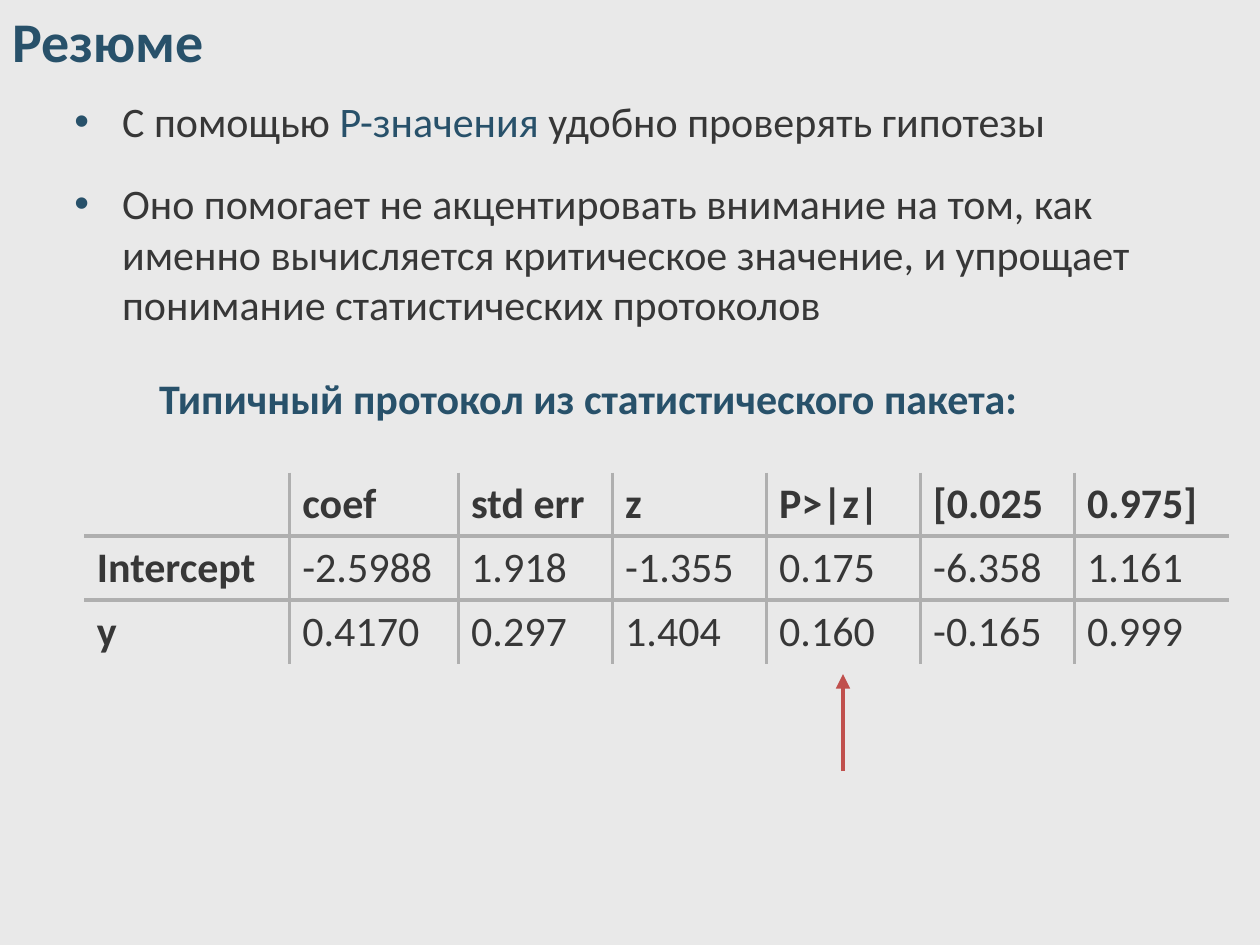
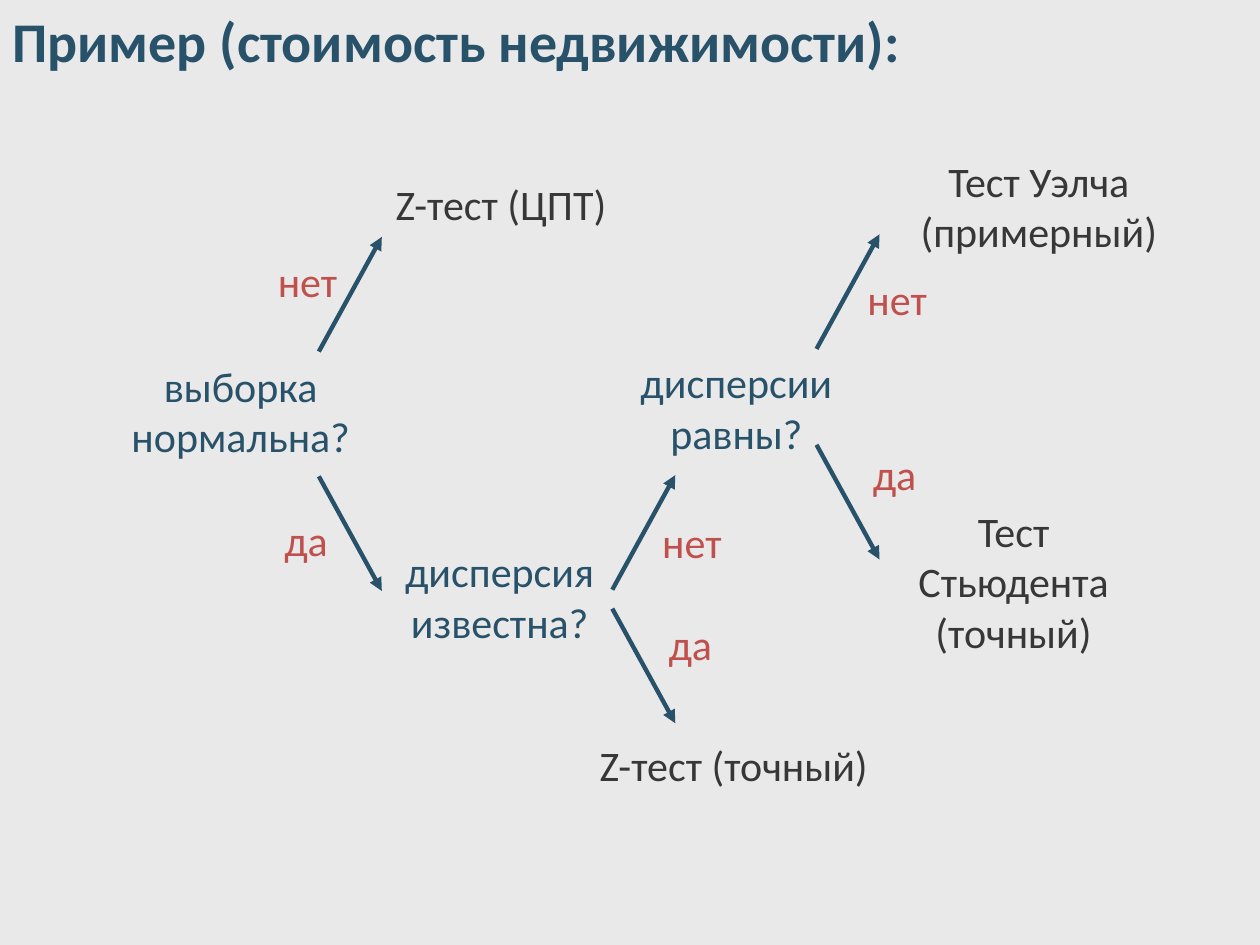
import lxml.etree
import pptx
import pptx.dml.color
import pptx.enum.shapes
import pptx.enum.text
import pptx.oxml.ns
import pptx.util

Pt = pptx.util.Pt
qn = pptx.oxml.ns.qn
CENTER = pptx.enum.text.PP_ALIGN.CENTER
LEFT = pptx.enum.text.PP_ALIGN.LEFT

FONT = "Calibri"
PAPER = "E9E9E9"
BLUE = "28516A"
INK = "373737"
RED = "C0504D"
GRID = "AFAFAF"

BODY_SIZE = 24
PARAGRAPH_GAP = 18
BULLET_INDENT = 27.3
ARROW_RUN, ARROW_RISE = 36, 65.5
ANSWER_WIDTH, ANSWER_HEIGHT = 59, 29

PROTOCOL = [
    ["", "coef", "std err", "z", "P>|z|", "[0.025", "0.975]"],
    ["Intercept", "-2.5988", "1.918", "-1.355", "0.175", "-6.358", "1.161"],
    ["y", "0.4170", "0.297", "1.404", "0.160", "-0.165", "0.999"],
]
COLUMN_WIDTHS = [117.4, 96.5] + [88] * 5
ROW_HEIGHT = 36.4

QUESTIONS = [
    ("выборка нормальна?", 66.2, 205.9, 142.6),
    ("дисперсия известна?", 226.1, 311.8, 118.8),
    ("дисперсии равны?", 361.4, 203.8, 118.8),
]
TESTS = [
    ("Z-тест (ЦПТ)", 226.1, 102.2, 181.4, 33, LEFT),
    ("Z-тест (точный)", 342.7, 422.6, 190.8, 36, LEFT),
    ("Тест Уэлча (примерный)", 518.4, 88.6, 150.5, 68, CENTER),
    ("Тест Стьюдента (точный)", 519.8, 288.7, 118.8, 101.5, CENTER),
]
BRANCHES = [
    ("нет", 182.2, 200.9, 146.2, 146.2),
    ("да", 182.2, 272.2, 145.4, 293.8),
    ("нет", 349.9, 337, 365.8, 295.2),
    ("да", 349.9, 347.8, 365, 353.5),
    ("нет", 466.6, 199.4, 483.1, 156.2),
    ("да", 466.6, 254.2, 481.7, 256.3),
]


def color(hex_code):
    return pptx.dml.color.RGBColor.from_string(hex_code)


def add_run(paragraph, text, hex_code, size=BODY_SIZE, bold=False):
    run = paragraph.add_run()
    run.text = text
    run.font.name = FONT
    run.font.size = Pt(size)
    run.font.bold = bold
    run.font.color.rgb = color(hex_code)


def add_frame(slide, left, top, width, height, inset_left=0, inset_top=0):
    box = slide.shapes.add_textbox(Pt(left), Pt(top), Pt(width), Pt(height))
    frame = box.text_frame
    frame.word_wrap = True
    frame.margin_left, frame.margin_top = Pt(inset_left), Pt(inset_top)
    frame.margin_right = frame.margin_bottom = 0
    return frame


def add_label(slide, text, left, top, width, height, hex_code, align=CENTER, bold=False):
    paragraph = add_frame(slide, left, top, width, height).paragraphs[0]
    paragraph.alignment = align
    add_run(paragraph, text, hex_code, bold=bold)


def add_bullet(paragraph, runs):
    properties = paragraph._p.get_or_add_pPr()
    properties.set("marL", str(Pt(BULLET_INDENT)))
    properties.set("indent", str(-Pt(BULLET_INDENT)))
    bullet_color = lxml.etree.SubElement(properties, qn("a:buClr"))
    lxml.etree.SubElement(bullet_color, qn("a:srgbClr"), val=BLUE)
    lxml.etree.SubElement(properties, qn("a:buFont"), typeface="Arial")
    lxml.etree.SubElement(properties, qn("a:buChar"), char="•")
    paragraph.space_after = Pt(PARAGRAPH_GAP)
    for text, hex_code in runs:
        add_run(paragraph, text, hex_code)


def add_arrow(slide, start_x, start_y, end_x, end_y, hex_code, weight):
    arrow = slide.shapes.add_connector(
        pptx.enum.shapes.MSO_CONNECTOR.STRAIGHT,
        Pt(start_x), Pt(start_y), Pt(end_x), Pt(end_y))
    arrow.line.color.rgb = color(hex_code)
    arrow.line.width = Pt(weight)
    lxml.etree.SubElement(arrow.line._get_or_add_ln(), qn("a:tailEnd"), type="triangle")
    lxml.etree.SubElement(arrow._element.spPr, qn("a:effectLst"))


def add_border(cell, side, visible):
    properties = cell._tc.get_or_add_tcPr()
    border = lxml.etree.SubElement(properties, qn("a:" + side), w=str(Pt(2.25)))
    if visible:
        fill = lxml.etree.SubElement(border, qn("a:solidFill"))
        lxml.etree.SubElement(fill, qn("a:srgbClr"), val=GRID)
    else:
        lxml.etree.SubElement(border, qn("a:noFill"))


def add_protocol(slide, left, top):
    row_count, column_count = len(PROTOCOL), len(COLUMN_WIDTHS)
    table = slide.shapes.add_table(
        row_count, column_count, Pt(left), Pt(top),
        Pt(sum(COLUMN_WIDTHS)), Pt(ROW_HEIGHT * row_count)).table
    table.first_row = table.horz_banding = False
    for column, width in zip(table.columns, COLUMN_WIDTHS):
        column.width = Pt(width)
    for r, values in enumerate(PROTOCOL):
        table.rows[r].height = Pt(ROW_HEIGHT)
        for c, value in enumerate(values):
            cell = table.cell(r, c)
            add_border(cell, "lnL", c > 0)
            add_border(cell, "lnR", c < column_count - 1)
            add_border(cell, "lnT", r > 0)
            add_border(cell, "lnB", r < row_count - 1)
            cell.fill.background()
            if value:
                add_run(cell.text_frame.paragraphs[0], value, INK, bold=r == 0 or c == 0)


def add_slide(deck, title):
    slide = deck.slides.add_slide(deck.slide_layouts[6])
    slide.background.fill.solid()
    slide.background.fill.fore_color.rgb = color(PAPER)
    heading = add_frame(slide, 0, 0, 720, 49, inset_left=7.2, inset_top=3.6)
    add_run(heading.paragraphs[0], title, BLUE, size=32, bold=True)
    return slide


def build_summary(deck):
    slide = add_slide(deck, "Резюме")
    conclusions = add_frame(slide, 42.5, 54.7, 635, 138)
    add_bullet(conclusions.paragraphs[0], [
        ("С помощью ", INK),
        ("P-значения ", BLUE),
        ("удобно проверять гипотезы", INK),
    ])
    add_bullet(conclusions.add_paragraph(), [
        ("Оно помогает не акцентировать внимание на том, как именно вычисляется "
         "критическое значение, и упрощает понимание статистических протоколов", INK),
    ])
    add_label(slide, "Типичный протокол из статистического пакета:",
              51.8, 213.1, 568.8, 34, BLUE, bold=True)
    add_protocol(slide, 48.2, 270)
    add_arrow(slide, 481.7, 440.6, 481.7, 385.2, RED, 2.75)


def build_test_choice(deck):
    slide = add_slide(deck, "Пример (стоимость недвижимости):")
    for question, left, top, width in QUESTIONS:
        add_label(slide, question, left, top, width, 68, BLUE)
    for test, left, top, width, height, align in TESTS:
        add_label(slide, test, left, top, width, height, INK, align)
    for answer, start_x, start_y, left, top in BRANCHES:
        rise = -ARROW_RISE if answer == "нет" else ARROW_RISE
        add_arrow(slide, start_x, start_y, start_x + ARROW_RUN, start_y + rise, BLUE, 2.5)
        add_label(slide, answer, left, top, ANSWER_WIDTH, ANSWER_HEIGHT, RED)


def main():
    deck = pptx.Presentation()
    deck.slide_width, deck.slide_height = Pt(720), Pt(540)
    build_summary(deck)
    build_test_choice(deck)
    deck.save("out.pptx")


if __name__ == "__main__":
    main()
